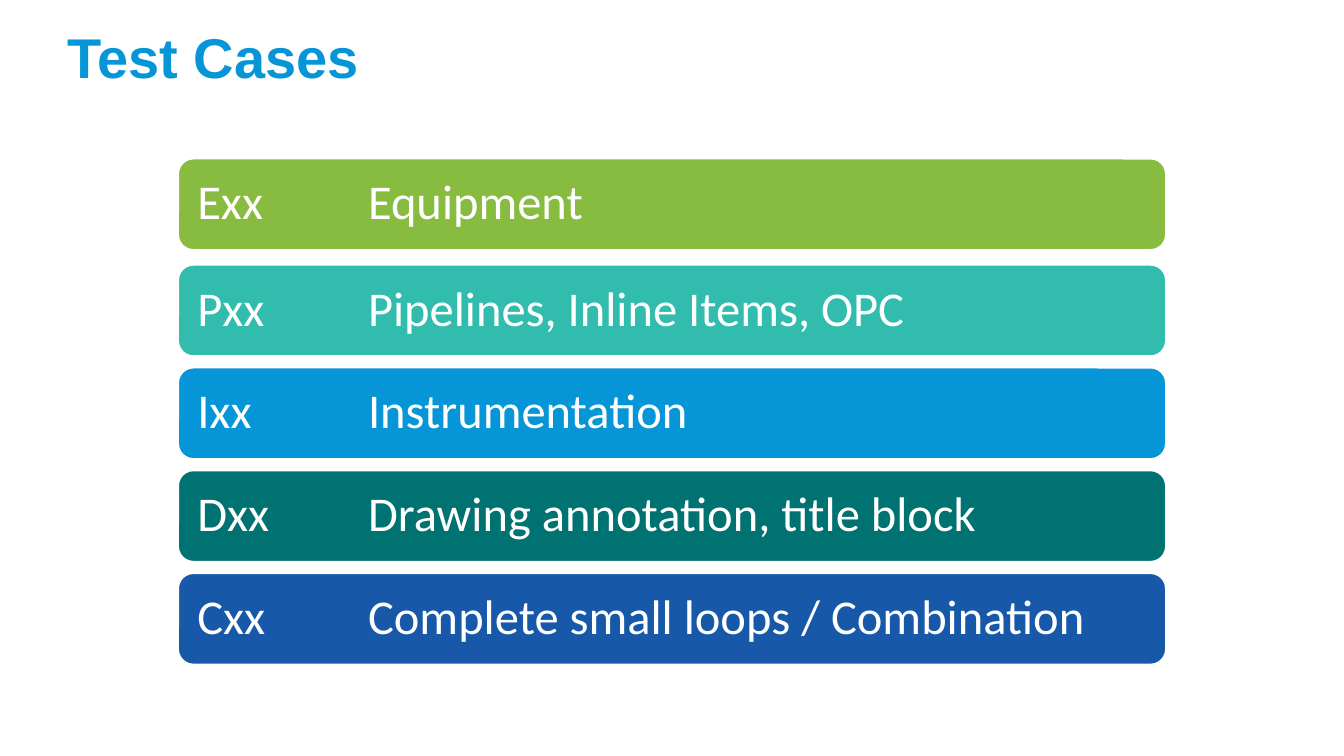
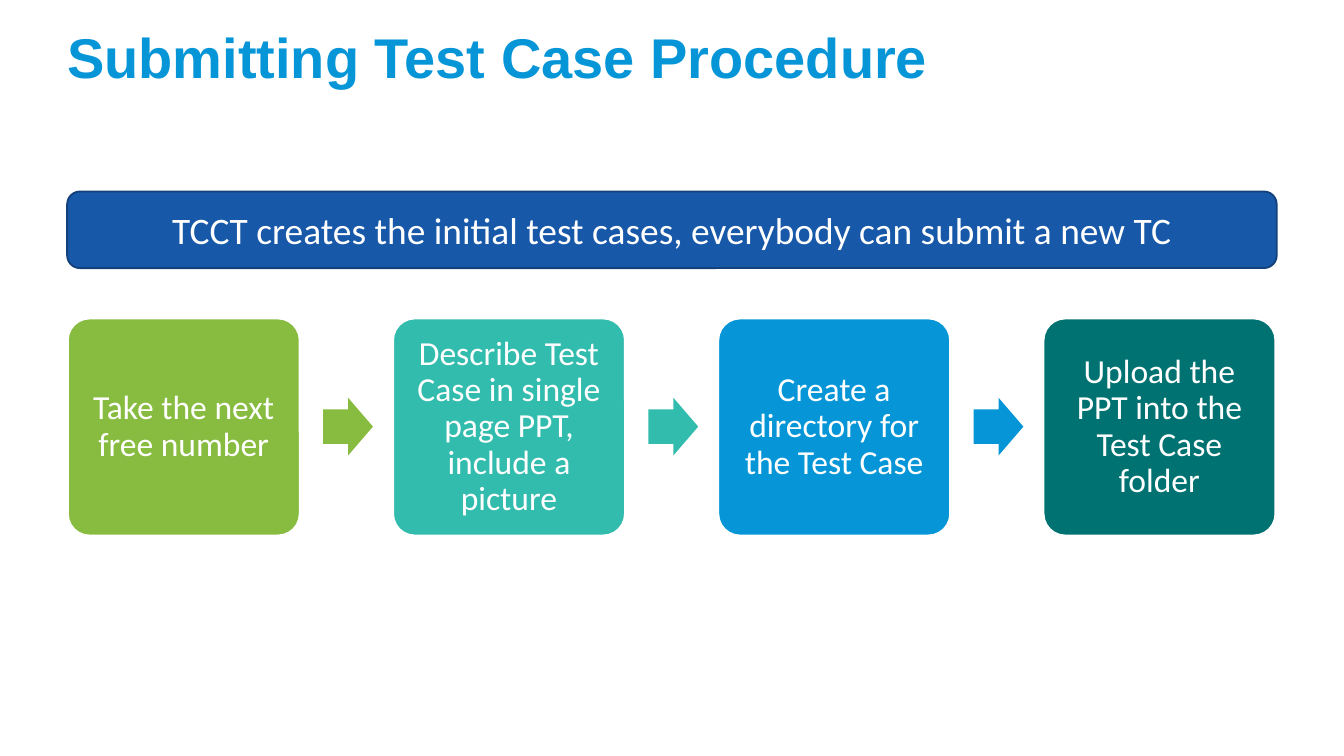
"""Build two slides on test cases: their groups and how to submit one."""
from dataclasses import dataclass
from typing import Any, Optional

from lxml import etree
from pptx import Presentation
from pptx.dml.color import RGBColor
from pptx.enum.shapes import MSO_SHAPE
from pptx.enum.text import MSO_ANCHOR, MSO_AUTO_SIZE, PP_ALIGN
from pptx.oxml.ns import qn
from pptx.util import Pt

ROUND, ARROW = MSO_SHAPE.ROUNDED_RECTANGLE, MSO_SHAPE.RIGHT_ARROW
TOP, MIDDLE = MSO_ANCHOR.TOP, MSO_ANCHOR.MIDDLE
LEFT, CENTER = PP_ALIGN.LEFT, PP_ALIGN.CENTER
FIXED = MSO_AUTO_SIZE.NONE

WHITE = RGBColor(0xFF, 0xFF, 0xFF)
GREEN = RGBColor(0x87, 0xBC, 0x40)
TEAL = RGBColor(0x32, 0xBC, 0xAD)
BLUE = RGBColor(0x06, 0x96, 0xD7)
PINE = RGBColor(0x00, 0x72, 0x72)
NAVY = RGBColor(0x18, 0x58, 0xA8)
EDGE = RGBColor(0x12, 0x41, 0x7C)

SCALE = 4572
WIDTH, HEIGHT = 2000, 1125
MARGIN = 100
TITLE_ONLY = 5
TAB = 254


@dataclass(frozen=True)
class Box:
    left: int
    top: int
    width: int
    height: int


@dataclass(frozen=True)
class Style:
    size: int
    align: Any
    inset: tuple[int, int] = (0, 0)
    anchor: Any = MIDDLE
    spacing: float = 0.9
    font: str = "Calibri"
    color: RGBColor = WHITE
    bold: bool = False


@dataclass(frozen=True)
class Group:
    top: int
    code: str
    name: str
    color: RGBColor


@dataclass(frozen=True)
class Step:
    text: str
    color: RGBColor


TITLE = Style(30, LEFT, anchor=TOP, font="Arial", color=BLUE, bold=True)
ROW = Style(26, LEFT, (22, 22))
CARD = Style(18, CENTER, (14, 14))
BANNER = Style(20, CENTER, (20, 10), spacing=1.0)

GROUPS = (
    Group(236, "Exx", "Equipment", GREEN),
    Group(394, "Pxx", "Pipelines, Inline Items, OPC", TEAL),
    Group(547, "Ixx", "Instrumentation", BLUE),
    Group(700, "Dxx", "Drawing annotation, title block", PINE),
    Group(853, "Cxx", "Complete small loops / Combination", NAVY),
)
STEPS = (
    Step("Take the next free number", GREEN),
    Step("Describe Test Case in single page PPT, include a picture", TEAL),
    Step("Create a directory for the Test Case", BLUE),
    Step("Upload the PPT into the Test Case folder", PINE),
)


def px(value: int) -> int:
    """Turn px into EMU."""
    return value * SCALE


def apply(target: Any, values: dict[str, Any]) -> None:
    """Set each named value on the target."""
    for name, value in values.items():
        setattr(target, name, value)


def write(shape: Any, text: str, style: Style) -> None:
    """Put styled text in a shape."""
    frame = shape.text_frame
    side, edge = map(px, style.inset)
    apply(frame, {
        "text": text, "word_wrap": True, "auto_size": FIXED,
        "vertical_anchor": style.anchor,
        "margin_left": side, "margin_right": side,
        "margin_top": edge, "margin_bottom": edge,
    })
    para = frame.paragraphs[0]
    apply(para, {"alignment": style.align, "line_spacing": style.spacing})
    font = para.runs[0].font
    apply(font, {"name": style.font, "size": Pt(style.size), "bold": style.bold})
    font.color.rgb = style.color


def draw(slide: Any, kind: Any, box: Box, fill: RGBColor,
         line: Optional[RGBColor] = WHITE, adjust: tuple[float, ...] = ()) -> Any:
    """Add a flat preset shape."""
    shape = slide.shapes.add_shape(
        kind, px(box.left), px(box.top), px(box.width), px(box.height))
    shape.shadow.inherit = False
    shape.fill.solid()
    shape.fill.fore_color.rgb = fill
    if line is None:
        shape.line.fill.background()
    else:
        shape.line.color.rgb = line
        shape.line.width = Pt(1)
    for index, value in enumerate(adjust):
        shape.adjustments[index] = value
    return shape


def set_tab(shape: Any) -> None:
    """Give the text a left tab stop."""
    props = shape.text_frame.paragraphs[0]._p.get_or_add_pPr()
    stops = etree.SubElement(props, qn("a:tabLst"))
    etree.SubElement(stops, qn("a:tab"), pos=str(px(TAB)), algn="l")


def add_slide(deck: Any, text: str) -> Any:
    """Add a slide with a styled title."""
    slide = deck.slides.add_slide(deck.slide_layouts[TITLE_ONLY])
    title = slide.shapes.title
    apply(title, {"left": px(MARGIN), "top": px(45),
                  "width": px(WIDTH - 2 * MARGIN), "height": px(188)})
    write(title, text, TITLE)
    return slide


def add_groups(deck: Any) -> None:
    """Draw the list of test case groups."""
    slide = add_slide(deck, "Test Cases")
    for group in GROUPS:
        row = draw(slide, ROUND, Box(265, group.top, 1470, 136), group.color)
        write(row, f"{group.code}\t{group.name}", ROW)
        set_tab(row)


def add_steps(deck: Any) -> None:
    """Draw the banner and the chain of steps."""
    slide = add_slide(deck, "Submitting Test Case Procedure")
    banner = draw(slide, ROUND, Box(MARGIN, 285, WIDTH - 2 * MARGIN, 114), NAVY, EDGE)
    write(banner, "TCCT creates the initial test cases, "
          "everybody can submit a new TC", BANNER)
    start, pitch = 101, 484
    for index, step in enumerate(STEPS):
        left = start + index * pitch
        card = draw(slide, ROUND, Box(left, 474, 345, 323), step.color, adjust=(0.1,))
        write(card, step.text, CARD)
        if step is not STEPS[-1]:
            draw(slide, ARROW, Box(left + 380, 592, 74, 86), step.color,
                 None, (0.6, 0.5))


def main() -> None:
    """Build and save the deck."""
    deck = Presentation()
    apply(deck, {"slide_width": px(WIDTH), "slide_height": px(HEIGHT)})
    add_groups(deck)
    add_steps(deck)
    deck.save("out.pptx")


if __name__ == "__main__":
    main()
